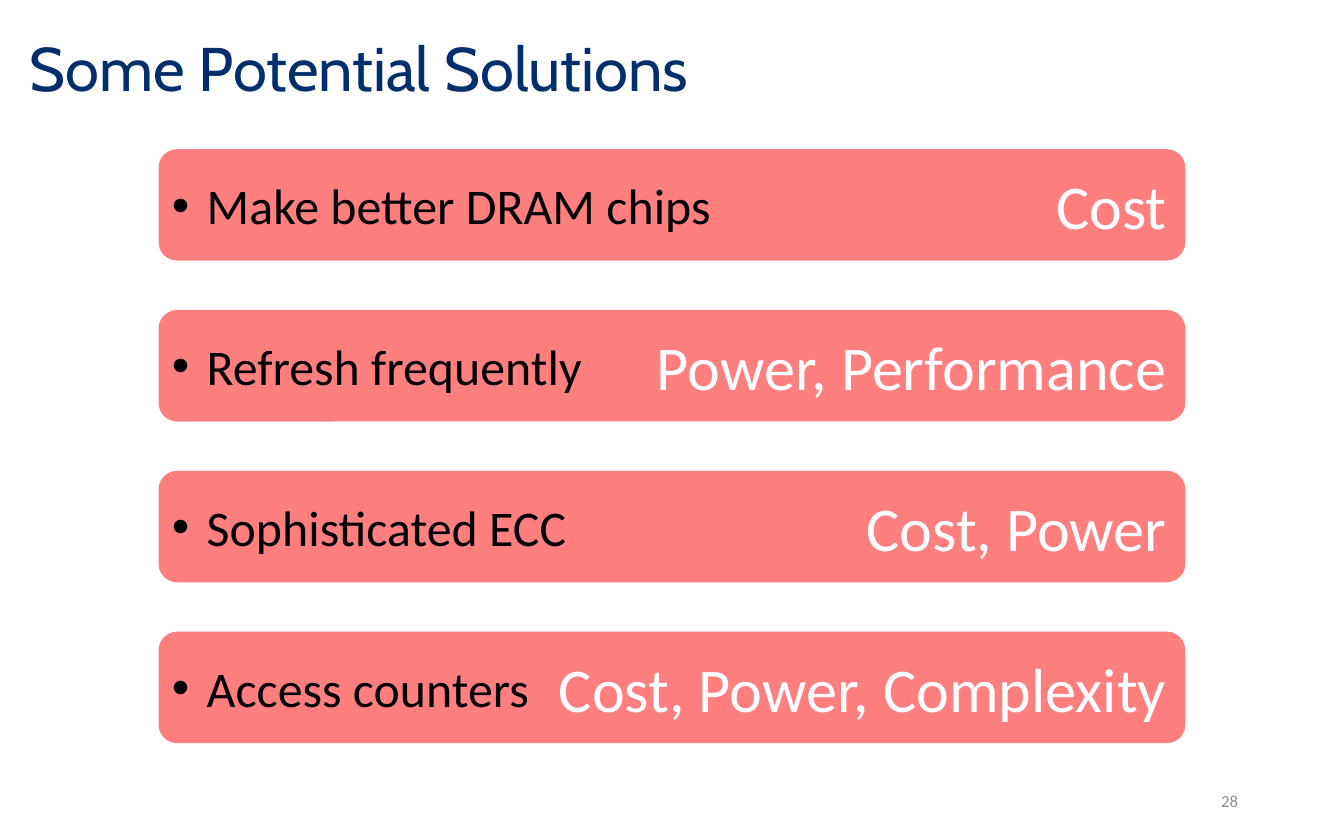
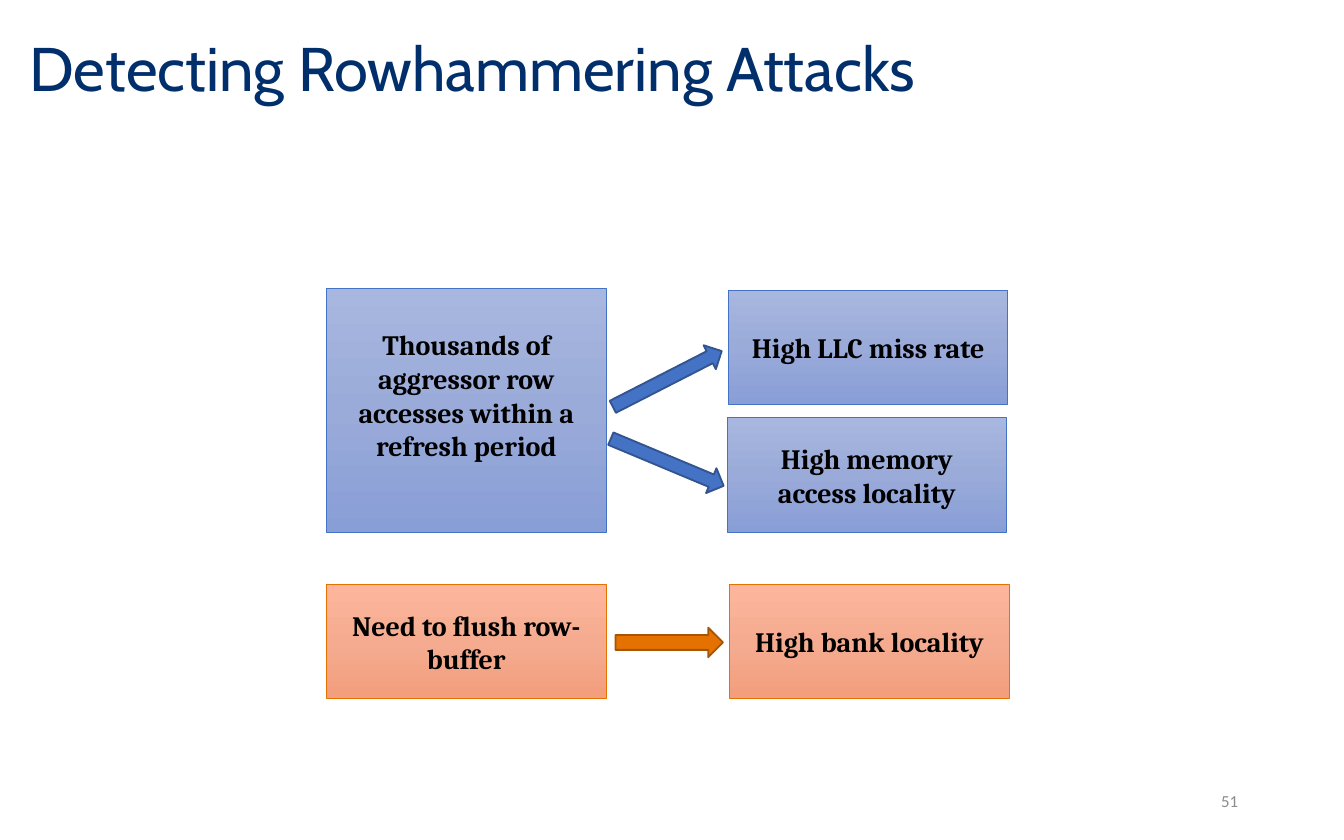
from copy import deepcopy

from lxml.etree import SubElement
from pptx import Presentation
from pptx.dml.color import RGBColor
from pptx.enum.shapes import MSO_SHAPE
from pptx.enum.text import MSO_ANCHOR, PP_ALIGN
from pptx.oxml.ns import qn
from pptx.util import Inches, Pt

COLORS = {
    "title": "002F6C", "number": "8C8C8C", "text": "000000",
    "bar": "FF0000", "bar_text": "FFFFFF",
}
THEMES = {
    "blue": {"gradient": ["A8B7DF", "9AABD9", "889ED7"], "line": "4472C4",
             "arrow": "4472C4", "arrow_line": "325491"},
    "orange": {"gradient": ["FDB69D", "F4AB90", "F39E7C"], "line": "E57200",
               "arrow": "E57200", "arrow_line": "A95400"},
}

# Solution, its drawback, width of the solution text
SOLUTIONS = [
    ("Make better DRAM chips", "Cost", 4.65),
    ("Refresh frequently", "Power, Performance", 3.82),
    ("Sophisticated ECC", "Cost, Power", 3.82),
    ("Access counters", "Cost, Power, Complexity", 3.82),
]
BAR_LEFT, BAR_WIDTH, BAR_HEIGHT = 1.18, 7.64, 0.83
FIRST_BAR_TOP, LAST_BAR_TOP = 1.11, 4.7

# Text, theme, left, top, height, bottom margin
BOX_WIDTH = 2.08
BOXES = [
    ("Thousands of aggressor row accesses within a refresh period",
     "blue", 2.43, 2.15, 1.81, 0.28),
    ("High LLC miss rate", "blue", 5.42, 2.16, 0.85, 0.05),
    ("High memory access locality", "blue", 5.41, 3.11, 0.85, 0.05),
    ("Need to flush row-buffer", "orange", 2.43, 4.35, 0.85, 0.05),
    ("High bank locality", "orange", 5.43, 4.35, 0.85, 0.05),
]
# Theme, (left, top, width, height), rotation
ARROWS = [
    ("blue", (4.51, 2.72, 0.91, 0.2), 332.9),
    ("blue", (4.51, 3.34, 0.91, 0.2), 22.7),
    ("orange", (4.58, 4.67, 0.8, 0.22), 0),
]


def rgb(hex_color):
    return RGBColor.from_string(hex_color)


def write(shape, text, font_name, size, color, align=PP_ALIGN.LEFT, bold=False):
    frame = shape.text_frame
    frame.text = text
    frame.word_wrap = True
    frame.vertical_anchor = MSO_ANCHOR.MIDDLE
    paragraph = frame.paragraphs[0]
    paragraph.alignment = align
    font = paragraph.runs[0].font
    font.name, font.size, font.bold = font_name, Pt(size), bold
    font.color.rgb = rgb(color)
    return paragraph


def add_textbox(slide, *bounds):
    return slide.shapes.add_textbox(*map(Inches, bounds))


def add_shape(slide, kind, *bounds):
    shape = slide.shapes.add_shape(kind, *map(Inches, bounds))
    shape.shadow.inherit = False
    return shape


def set_line(shape, color, width):
    shape.line.color.rgb = rgb(color)
    shape.line.width = Pt(width)


def fill_gradient(shape, colors):
    """Fill from top to bottom with three evenly spaced colours."""
    shape.fill.gradient()
    shape.fill.gradient_angle = 270
    stop_list = shape.element.spPr.find(qn("a:gradFill")).find(qn("a:gsLst"))
    stop_list.insert(1, deepcopy(stop_list[0]))
    for index, (stop, color) in enumerate(zip(shape.fill.gradient_stops, colors)):
        stop.position = index / 2
        stop.color.rgb = rgb(color)


def add_bullet(paragraph):
    properties = paragraph._p.get_or_add_pPr()
    properties.set("marL", str(Inches(0.26)))
    properties.set("indent", str(Inches(-0.26)))
    SubElement(properties, qn("a:buFont")).set("typeface", "Arial")
    SubElement(properties, qn("a:buChar")).set("char", "•")


def add_slide(presentation, title_text, number):
    slide = presentation.slides.add_slide(presentation.slide_layouts[5])
    title = slide.shapes.title
    title.left, title.top, title.width, title.height = map(
        Inches, (0.12, 0.1, 8.52, 0.86))
    paragraph = write(title, title_text, "Cabin", 33, COLORS["title"])
    paragraph.line_spacing = 0.9
    number_box = add_textbox(slide, 7.06, 5.79, 2.25, 0.33)
    write(number_box, number, "Calibri", 9, COLORS["number"], PP_ALIGN.RIGHT)
    return slide


def add_solutions(slide):
    pitch = (LAST_BAR_TOP - FIRST_BAR_TOP) / (len(SOLUTIONS) - 1)
    for index, (solution, drawback, text_width) in enumerate(SOLUTIONS):
        top = FIRST_BAR_TOP + index * pitch
        bar = add_shape(slide, MSO_SHAPE.ROUNDED_RECTANGLE,
                        BAR_LEFT, top, BAR_WIDTH, BAR_HEIGHT)
        bar.fill.solid()
        bar.fill.fore_color.rgb = rgb(COLORS["bar"])
        bar_color = bar.element.spPr.find(qn("a:solidFill"))[0]
        SubElement(bar_color, qn("a:alpha")).set("val", "50000")
        bar.line.fill.background()
        write(bar, drawback, "Calibri", 33.3, COLORS["bar_text"], PP_ALIGN.RIGHT)
        label = add_textbox(slide, BAR_LEFT, top, text_width, BAR_HEIGHT)
        add_bullet(write(label, solution, "Calibri", 26.7, COLORS["text"]))


def add_detection_diagram(slide):
    for text, theme, left, top, height, bottom_margin in BOXES:
        box = add_shape(slide, MSO_SHAPE.RECTANGLE, left, top, BOX_WIDTH, height)
        fill_gradient(box, THEMES[theme]["gradient"])
        set_line(box, THEMES[theme]["line"], 0.5)
        write(box, text, "Cambria", 15, COLORS["text"], PP_ALIGN.CENTER, bold=True)
        box.text_frame.margin_bottom = Inches(bottom_margin)
    for theme, bounds, rotation in ARROWS:
        arrow = add_shape(slide, MSO_SHAPE.RIGHT_ARROW, *bounds)
        arrow.rotation = rotation
        arrow.fill.solid()
        arrow.fill.fore_color.rgb = rgb(THEMES[theme]["arrow"])
        set_line(arrow, THEMES[theme]["arrow_line"], 1)


def main():
    presentation = Presentation()
    presentation.slide_width = Inches(10)
    presentation.slide_height = Inches(6.25)
    add_solutions(add_slide(presentation, "Some Potential Solutions", "28"))
    add_detection_diagram(
        add_slide(presentation, "Detecting Rowhammering Attacks", "51"))
    presentation.save("out.pptx")


if __name__ == "__main__":
    main()
